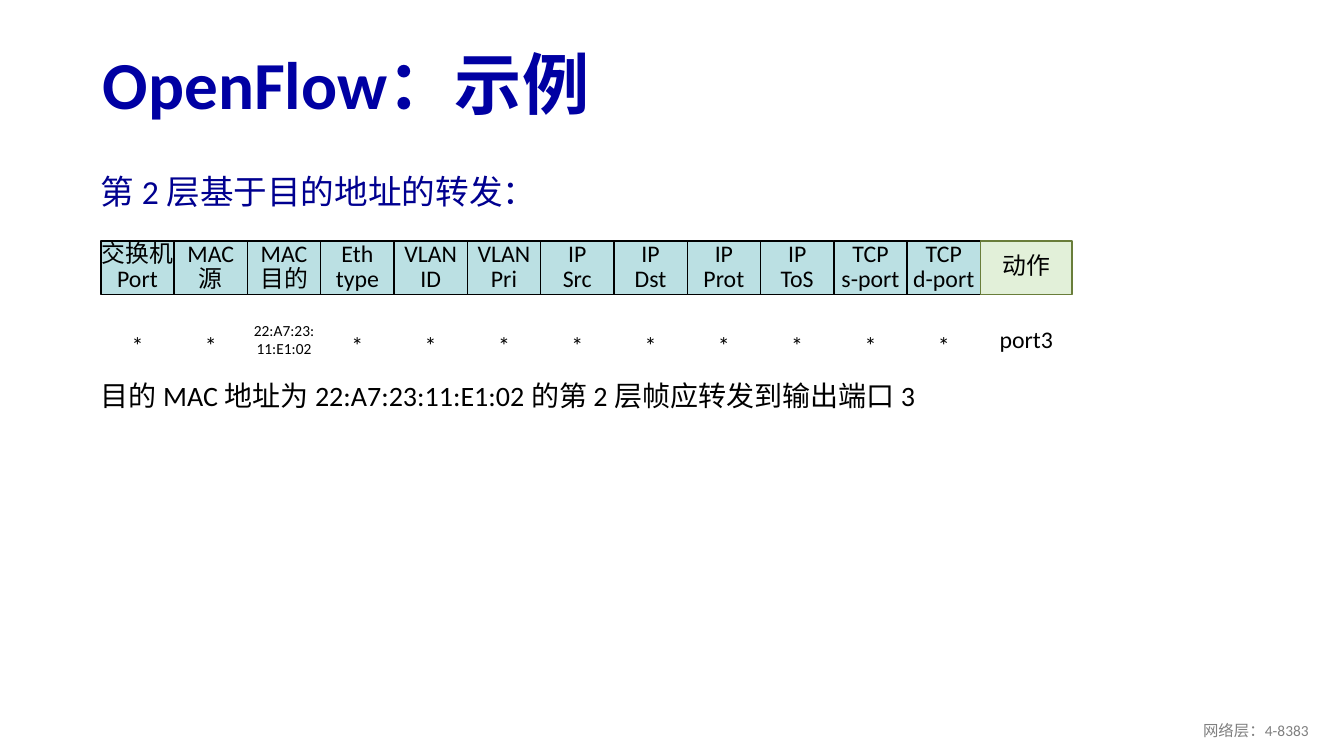
"""Build the OpenFlow layer 2 forwarding example slide."""
from dataclasses import dataclass

from pptx import Presentation
from pptx import util as u
from pptx.dml.color import RGBColor
from pptx.enum import shapes, text

TITLE = "OpenFlow：示例"
HEADING = "第 2 层基于目的地址的转发："
SUMMARY = "目的 MAC 地址为 22:A7:23:11:E1:02 的第 2 层帧应转发到输出端口 3"
FOOTER = "网络层：4-8383"
FIELDS = [
    (("交换机", "Port"), ("*",)),
    (("MAC", "源"), ("*",)),
    (("MAC", "目的"), ("22:A7:23:", "11:E1:02")),
    (("Eth", "type"), ("*",)),
    (("VLAN", "ID"), ("*",)),
    (("VLAN", "Pri"), ("*",)),
    (("IP", "Src"), ("*",)),
    (("IP", "Dst"), ("*",)),
    (("IP", "Prot"), ("*",)),
    (("IP", "ToS"), ("*",)),
    (("TCP", "s-port"), ("*",)),
    (("TCP", "d-port"), ("*",)),
]
ACTION = (("动作",), ("port3",))


@dataclass(frozen=True)
class Theme:
    font: str = "Calibri"
    title: str = "0000A3"
    heading: str = "000090"
    ink: str = "000000"
    muted: str = "808080"
    field: str = "BBE0E3"
    action: str = "E2F0D9"
    action_line: str = "697D3A"
    title_pt: int = 48
    heading_pt: int = 24
    summary_pt: int = 20
    cell_pt: int = 17
    small_pt: int = 11


T = Theme()
LEFT, COL_W, ACTION_W = 1, 0.727, 0.91
HEAD_Y, HEAD_H = 2.39, 0.53
VALUE_Y, STAR_Y, VALUE_H = 3.19, 3.25, 0.35


def rgb(value):
    return RGBColor.from_string(value)


def write(sp, lines, size, color=T.ink, align=text.PP_ALIGN.LEFT,
          spacing=1.0, inset=0, bold=False):
    tf = sp.text_frame
    tf.word_wrap = True
    tf.auto_size = text.MSO_AUTO_SIZE.NONE
    tf.vertical_anchor = text.MSO_ANCHOR.MIDDLE
    tf.margin_left = tf.margin_right = u.Inches(inset)
    tf.margin_top = tf.margin_bottom = u.Inches(inset / 2)
    for i, line in enumerate(lines):
        p = tf.add_paragraph() if i else tf.paragraphs[0]
        p.alignment, p.line_spacing = align, spacing
        r = p.add_run()
        r.text = line
        r.font.name, r.font.size, r.font.bold = T.font, u.Pt(size), bold
        r.font.color.rgb = rgb(color)


def add_label(s, box, lines, size, **style):
    sp = s.shapes.add_textbox(*map(u.Inches, box))
    write(sp, lines, size, **style)


def add_column(s, x, width, head, value, fill, line):
    box = map(u.Inches, (x, HEAD_Y, width, HEAD_H))
    sp = s.shapes.add_shape(shapes.MSO_SHAPE.RECTANGLE, *box)
    sp.shadow.inherit = False
    sp.fill.solid()
    sp.fill.fore_color.rgb = rgb(fill)
    sp.line.color.rgb = rgb(line)
    sp.line.width = u.Pt(1)
    center = text.PP_ALIGN.CENTER
    write(sp, head, T.cell_pt, align=center, spacing=0.85)
    y = STAR_Y if value == ("*",) else VALUE_Y
    size = T.small_pt if len(value) > 1 else T.cell_pt
    add_label(s, (x, y, width, VALUE_H), value, size, align=center)


def main():
    prs = Presentation()
    prs.slide_width, prs.slide_height = u.Inches(13.33), u.Inches(7.5)
    s = prs.slides.add_slide(prs.slide_layouts[5])
    title = s.shapes.title
    title.left, title.top = u.Inches(0.92), u.Inches(0.38)
    title.width, title.height = u.Inches(11.5), u.Inches(0.98)
    write(title, [TITLE], T.title_pt, T.title, spacing=0.9, inset=0.1, bold=True)

    add_label(s, (LEFT, 1.7, 5.17, 0.4), [HEADING], T.heading_pt, color=T.heading)
    for i, (head, value) in enumerate(FIELDS):
        add_column(s, LEFT + i * COL_W, COL_W, head, value, T.field, T.ink)
    add_column(s, LEFT + len(FIELDS) * COL_W, ACTION_W, *ACTION,
               T.action, T.action_line)
    add_label(s, (LEFT, 3.59, 10.22, 0.67), [SUMMARY], T.summary_pt)
    add_label(s, (10.08, 7.05, 3, 0.4), [FOOTER], T.small_pt,
              color=T.muted, align=text.PP_ALIGN.RIGHT, inset=0.1)
    prs.save("out.pptx")


if __name__ == "__main__":
    main()
